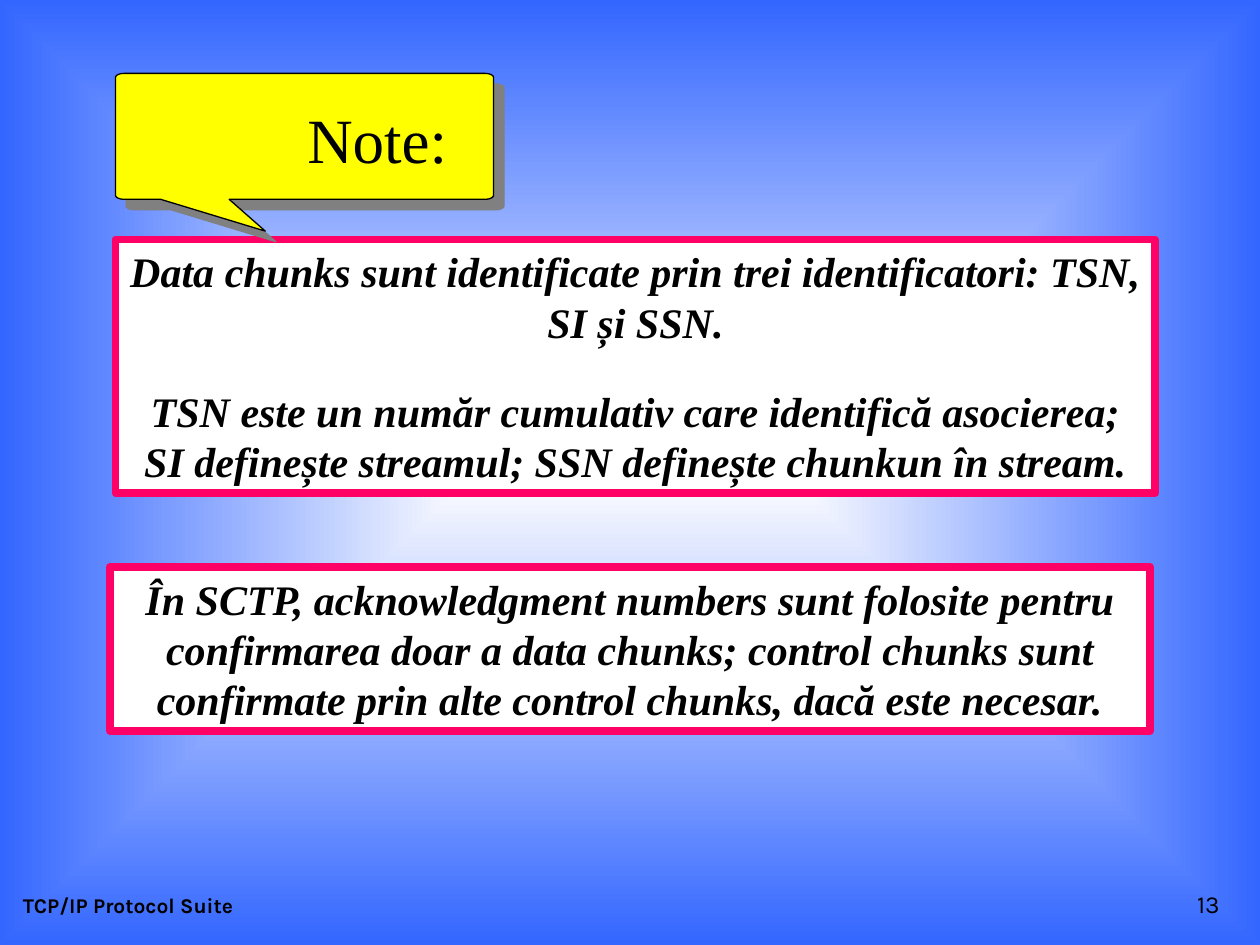
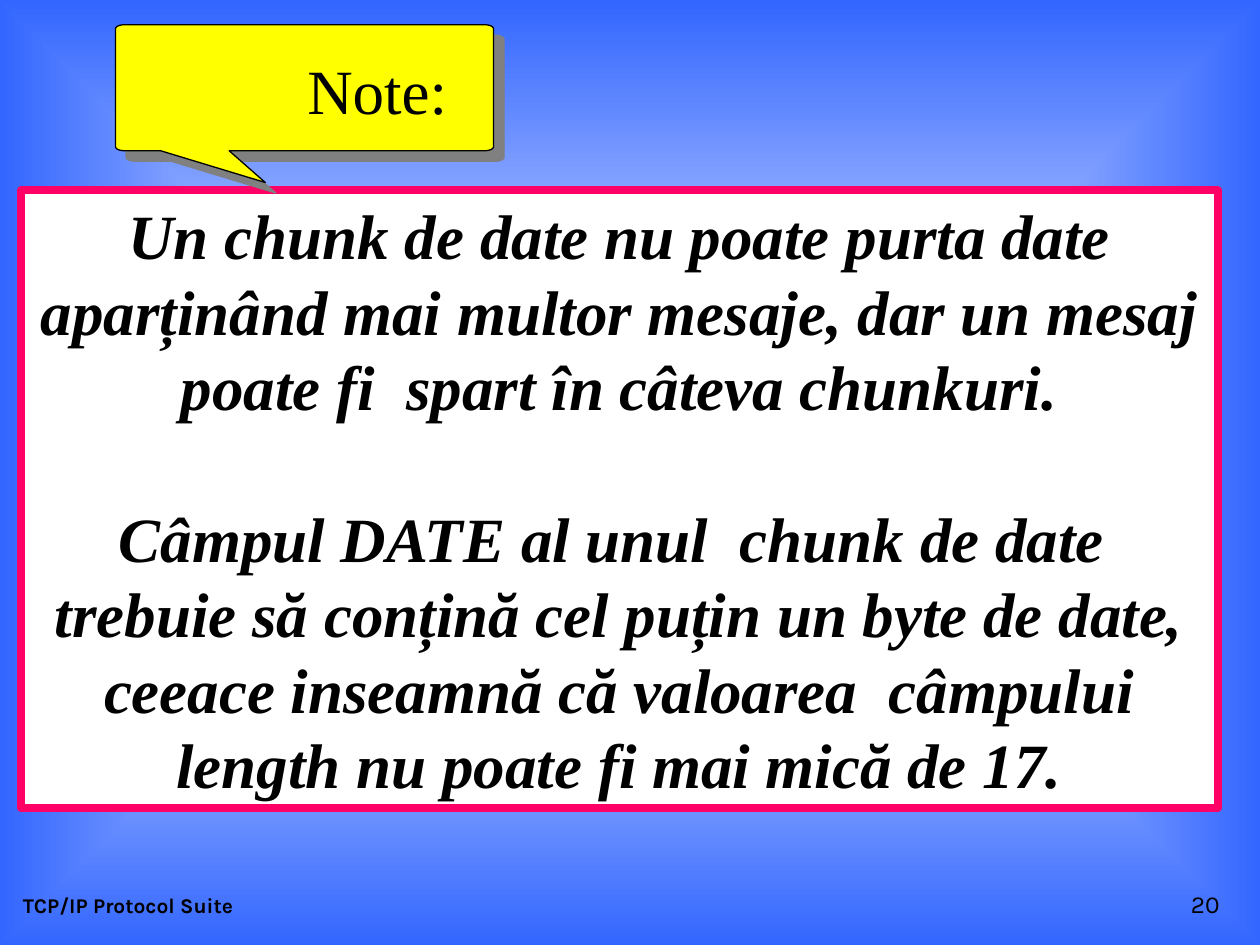
"""Build two note slides with a speech callout and framed statements."""
import math

import pptx
import pptx.dml.color
import pptx.enum.text
import pptx.oxml
import pptx.oxml.ns
import pptx.util
from pptx.util import Cm

BLACK, WHITE, BLUE = "000000", "FFFFFF", "3366FF"
PINK, YELLOW = "FF0066", "FFFF00"
SERIF, SANS = "Times New Roman", "Karla"
ALIGN = pptx.enum.text.PP_ALIGN
ANCHOR = pptx.enum.text.MSO_ANCHOR
AUTO_SIZE = pptx.enum.text.MSO_AUTO_SIZE
NAMESPACE = pptx.oxml.ns.nsdecls("a")


def color(hex_value):
    return pptx.dml.color.RGBColor.from_string(hex_value)


def write_text(shape, text, size, font=SERIF, bold=False, italic=False, align=ALIGN.LEFT,
               anchor=ANCHOR.TOP, wrap=True, auto_size=AUTO_SIZE.NONE, gap=0):
    frame = shape.text_frame
    frame.text = text
    frame.word_wrap = wrap
    frame.auto_size = auto_size
    frame.vertical_anchor = anchor
    for index, paragraph in enumerate(frame.paragraphs):
        paragraph.alignment = align
        paragraph.space_before = pptx.util.Pt(gap if index else 0)
        paragraph.font.size = pptx.util.Pt(size)
        paragraph.font.name = font
        paragraph.font.bold = bold
        paragraph.font.italic = italic
        paragraph.font.color.rgb = color(BLACK)


notes = [
    {
        "number": "13", "callout_top": 1.48, "size": 24, "gap": 22,
        "boxes": [
            ((2.33, 4.83, 20.96, 5.11),
             "Data chunks sunt identificate prin trei identificatori: TSN, SI și SSN.\n"
             "TSN este un număr cumulativ care identifică asocierea; "
             "SI definește streamul; SSN definește chunkun în stream."),
            ((2.22, 11.43, 20.96, 3.3),
             "În SCTP, acknowledgment numbers sunt folosite pentru confirmarea doar a "
             "data chunks; control chunks sunt confirmate prin alte control chunks, "
             "dacă este necesar."),
        ],
    },
    {
        "number": "20", "callout_top": 0.5, "size": 36, "gap": 43.2,
        "boxes": [
            ((0.42, 3.84, 24.13, 12.45),
             "Un chunk de date nu poate purta date aparținând mai multor mesaje, "
             "dar un mesaj poate fi  spart în câteva chunkuri.\n"
             "Câmpul DATE al unul  chunk de date  trebuie să conțină cel puțin un byte "
             "de date, ceeace inseamnă că valoarea  câmpului length nu poate fi mai "
             "mică de 17."),
        ],
    },
]

callout_left, callout_width, callout_height = 2.33, 7.62, 2.54
radius_x, radius_y = 0.18, 0.08
tail = [(2.29, callout_height), (3.02, 3.18), (0.91, callout_height)]
right, bottom = callout_width - radius_x, callout_height - radius_y
corners = [(radius_x, radius_y, 180), (right, radius_y, 270),
           (right, bottom, 0), (radius_x, bottom, 90)]
outline = []
for center_x, center_y, start in corners:
    if start == 90:
        outline += tail
    for step in range(7):
        angle = math.radians(start + 15 * step)
        outline.append((center_x + radius_x * math.cos(angle),
                        center_y + radius_y * math.sin(angle)))

presentation = pptx.Presentation()
presentation.slide_width = Cm(25.4)
presentation.slide_height = Cm(19.05)

master = presentation.slide_master
background = master.background.fill
background.gradient()
for stop, position, hex_value in zip(background.gradient_stops, (0, 1), (WHITE, BLUE)):
    stop.position = position
    stop.color.rgb = color(hex_value)
linear = master.element.find(".//" + pptx.oxml.ns.qn("a:lin"))
linear.getparent().replace(linear, pptx.oxml.parse_xml(
    f'<a:path {NAMESPACE} path="rect">'
    '<a:fillToRect l="50000" t="50000" r="50000" b="50000"/></a:path>'))

for note in notes:
    slide = presentation.slides.add_slide(presentation.slide_layouts[5])
    shapes = slide.shapes

    footer = shapes.add_textbox(Cm(0.21), Cm(17.36), Cm(8.05), Cm(1.27))
    write_text(footer, "TCP/IP Protocol Suite", 12, font=SANS, bold=True, anchor=ANCHOR.BOTTOM)
    number = shapes.add_textbox(Cm(19.55), Cm(17.36), Cm(5.29), Cm(1.27))
    write_text(number, note["number"], 14, font=SANS, align=ALIGN.RIGHT, anchor=ANCHOR.BOTTOM)

    for position, text in note["boxes"]:
        box = shapes.add_shape(pptx.enum.shapes.MSO_SHAPE.RECTANGLE, *map(Cm, position))
        box.shadow.inherit = False
        box.fill.solid()
        box.fill.fore_color.rgb = color(WHITE)
        box.line.color.rgb = color(PINK)
        box.line.width = pptx.util.Pt(4.5)
        write_text(box, text, note["size"], bold=True, italic=True, align=ALIGN.CENTER,
                   auto_size=AUTO_SIZE.SHAPE_TO_FIT_TEXT, gap=note["gap"])

    points = [(Cm(callout_left + x), Cm(note["callout_top"] + y)) for x, y in outline]
    builder = shapes.build_freeform(*points[0])
    builder.add_line_segments(points[1:], close=True)
    callout = builder.convert_to_shape()
    callout.fill.solid()
    callout.fill.fore_color.rgb = color(YELLOW)
    callout.line.color.rgb = color(BLACK)
    callout.line.width = pptx.util.Pt(0.75)
    callout.shadow.inherit = False
    effects = callout.element.spPr.find(pptx.oxml.ns.qn("a:effectLst"))
    effects.append(pptx.oxml.parse_xml(
        f'<a:outerShdw {NAMESPACE} dist="107950" dir="2700000" algn="ctr" rotWithShape="0">'
        '<a:srgbClr val="808080"/></a:outerShdw>'))

    title = shapes.title
    title.left, title.top = Cm(5.94), Cm(note["callout_top"] + 0.42)
    title.width, title.height = Cm(3.33), Cm(1.78)
    write_text(title, "Note:", 36, wrap=False, auto_size=AUTO_SIZE.SHAPE_TO_FIT_TEXT)
    title.element.getparent().append(title.element)

presentation.save("out.pptx")
